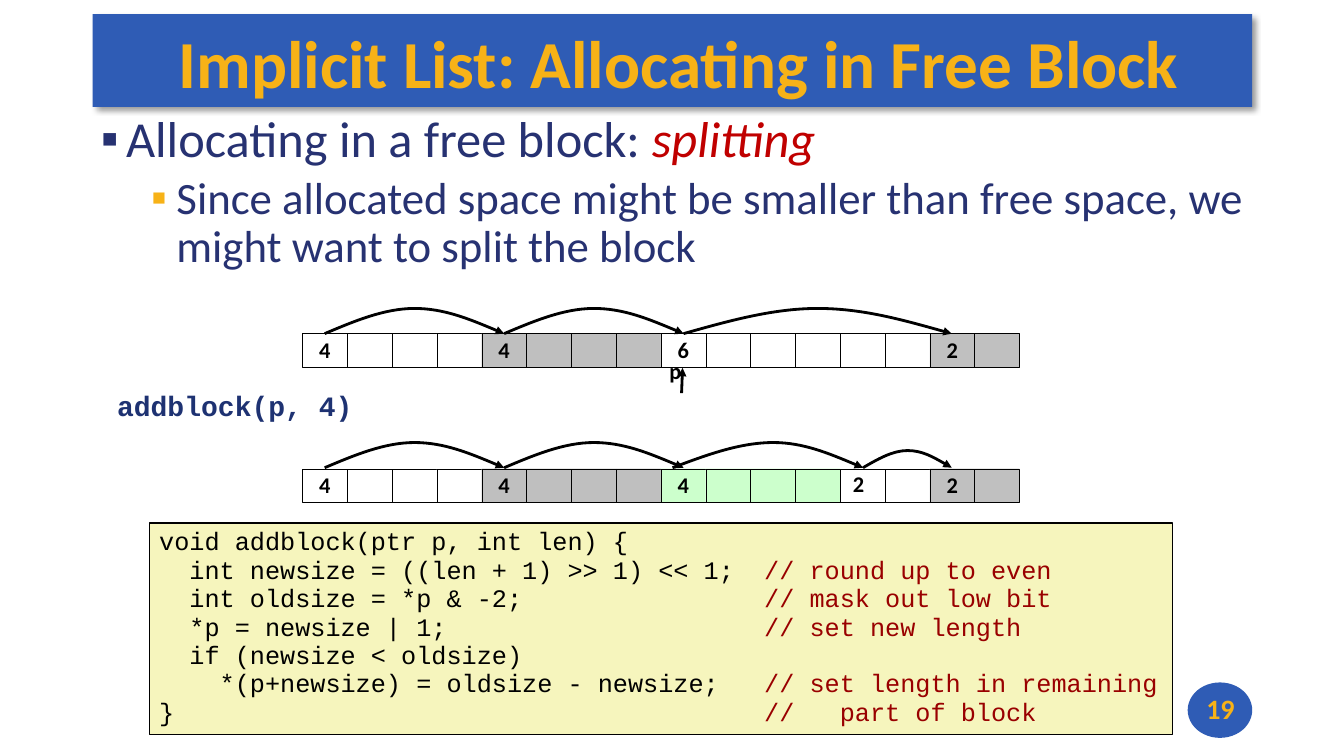
from lxml.etree import SubElement as Sub
from pptx import Presentation
from pptx.dml.color import RGBColor
from pptx.enum.shapes import MSO_CONNECTOR as Link, MSO_SHAPE as Shape
from pptx.enum.text import MSO_ANCHOR as Anchor, MSO_AUTO_SIZE as Fit, PP_ALIGN as Align
from pptx.oxml.ns import qn
from pptx.util import Inches, Pt

BLUE, GOLD, NAVY, RED = "2F5CB5", "F7B217", "273272", "C00000"
BLACK, WHITE, GREEN = "000000", "FFFFFF", "CCFFCC"
GREY, SILVER = "BFBFBF", "C0C0C0"
SANS, MONO = "Calibri", "Courier New"
LEFT, PITCH, HIGH = 3, 4 / 9, 0.33
PADS = (0.1, 0.05, 0.1, 0.05)

# Each block: size label, number of words, fill
BEFORE = [("4", 4, WHITE), ("4", 4, GREY), ("6", 6, WHITE), ("2", 2, SILVER)]
AFTER = [("4", 4, WHITE), ("4", 4, GREY), ("4", 4, GREEN), ("", 2, WHITE), ("2", 2, SILVER)]

CODE = [
    ("void addblock(ptr p, int len) {", ""),
    ("  int newsize = ((len + 1) >> 1) << 1;", "// round up to even"),
    ("  int oldsize = *p & -2;", "// mask out low bit"),
    ("  *p = newsize | 1;", "// set new length"),
    ("  if (newsize < oldsize)", ""),
    ("    *(p+newsize) = oldsize - newsize;", "// set length in remaining"),
    ("}", "//   part of block"),
]


def rgb(code):
    return RGBColor.from_string(code)


def add_run(para, text, size, color, face=SANS, bold=False, slant=False):
    run = para.add_run()
    run.text = text
    font = run.font
    font.name, font.size, font.bold, font.italic = face, Pt(size), bold, slant
    font.color.rgb = rgb(color)


def set_frame(item, pads=PADS, anchor=Anchor.TOP, wrap=False, fit=Fit.NONE):
    frame = item.text_frame
    frame.word_wrap, frame.auto_size, frame.vertical_anchor = wrap, fit, anchor
    (frame.margin_left, frame.margin_top,
     frame.margin_right, frame.margin_bottom) = map(Inches, pads)
    return frame


def add_box(slide, kind, box, fill, line=None):
    """Add a filled shape; line is its outline width in points."""
    item = slide.shapes.add_shape(kind, *map(Inches, box))
    item.shadow.inherit = False
    item.fill.solid()
    item.fill.fore_color.rgb = rgb(fill)
    if line:
        item.line.color.rgb = rgb(BLACK)
        item.line.width = Pt(line)
    else:
        item.line.fill.background()
    return item


def add_label(slide, box, text, size, color, face=SANS, align=Align.LEFT, gap=0.98,
              pads=PADS, anchor=Anchor.TOP, fit=Fit.SHAPE_TO_FIT_TEXT):
    item = slide.shapes.add_textbox(*map(Inches, box))
    para = set_frame(item, pads, anchor, fit=fit).paragraphs[0]
    para.alignment, para.line_spacing = align, gap
    add_run(para, text, size, color, face, bold=True)


def add_tip(item):
    """Give a line its black stroke and an arrowhead at the end."""
    item.line.color.rgb = rgb(BLACK)
    item.line.width = Pt(2)
    Sub(item.element.spPr.find(qn("a:ln")), qn("a:tailEnd"), type="triangle")


def add_arc(slide, start, end, base, rise=0.25, peak=None):
    """Draw an arch of two cubic curves that meet at the peak."""
    peak = peak or (start + end) / 2
    up, down = (peak - start) / 3, (end - peak) / 3
    top, mid = base - rise, base - rise / 2
    points = [(start, base), (start + up, mid), (peak - up, top), (peak, top),
              (peak + down, top), (end - down, mid), (end, base)]
    points = [(Inches(x), Inches(y)) for x, y in points]
    pen = slide.shapes.build_freeform(*points[0])
    pen.add_line_segments(points[1:], close=False)
    arc = pen.convert_to_shape()
    trace = next(arc.element.iter(qn("a:path")))
    legs = trace.findall(qn("a:lnTo"))
    for i in range(0, len(legs), 3):
        curve = Sub(trace, qn("a:cubicBezTo"))
        for leg in legs[i:i + 3]:
            curve.append(leg[0])
            trace.remove(leg)
    arc.shadow.inherit = False
    arc.fill.background()
    add_tip(arc)


def add_heap(slide, top, blocks):
    spot = 0
    for label, count, fill in blocks:
        for i in range(count):
            box = (LEFT + spot * PITCH, top, PITCH, HIGH)
            cell = add_box(slide, Shape.RECTANGLE, box, fill, 0.25)
            spot += 1
            if i == 0 and label:
                para = set_frame(cell, anchor=Anchor.MIDDLE).paragraphs[0]
                para.alignment, para.line_spacing = Align.CENTER, 0.98
                add_run(para, label, 16, BLACK, bold=True)


def place(holder, box):
    holder.left, holder.top, holder.width, holder.height = map(Inches, box)


def set_title(slide):
    title = slide.shapes.title
    place(title, (0.96, 0.19, 11.47, 0.85))
    para = set_frame(title, (0.08, 0.03, 0, 0.03), Anchor.MIDDLE, True).paragraphs[0]
    para.alignment = Align.CENTER
    add_run(para, "Implicit List: Allocating in Free Block", 48, GOLD, bold=True)

    bar = add_box(slide, Shape.RECTANGLE, (0.92, 0.14, 11.5, 0.92), BLUE)
    glow = bar.element.spPr.find(qn("a:effectLst"))
    shade = Sub(glow, qn("a:outerShdw"), blurRad=str(Pt(4)), dist=str(Pt(3)),
                dir="2700000", algn="tl", rotWithShape="0")
    tint = Sub(shade, qn("a:srgbClr"), val=BLACK)
    Sub(tint, qn("a:alpha"), val="40000")
    title.element.addprevious(bar.element)


def set_body(slide):
    body = slide.placeholders[1]
    place(body, (0.9, 1.08, 11.57, 5.87))
    frame = set_frame(body, wrap=True)
    items = [
        (0.25, 0, 36, NAVY, [("Allocating in a free block: ", NAVY, False),
                             ("splitting", RED, True)]),
        (0.75, 5, 32, GOLD, [("Since allocated space might be smaller than free space, "
                              "we might want to split the block", NAVY, False)]),
    ]
    for level, (indent, above, size, mark, runs) in enumerate(items):
        para = frame.add_paragraph() if level else frame.paragraphs[0]
        para.level = level
        props = para._p.get_or_add_pPr()
        props.set("marL", str(Inches(indent)))
        props.set("indent", str(Inches(-0.25)))
        Sub(Sub(props, qn("a:buClr")), qn("a:srgbClr"), val=mark)
        Sub(props, qn("a:buChar"), char="▪")
        para.line_spacing, para.space_before = 0.9, Pt(above)
        for text, color, slant in runs:
            add_run(para, text, size, color, slant=slant)


def add_code(slide):
    box = add_box(slide, Shape.RECTANGLE, (1.48, 5.19, 10.15, 2.1), "F6F5BD", 1)
    frame = set_frame(box, fit=Fit.SHAPE_TO_FIT_TEXT)
    for i, (code, note) in enumerate(CODE):
        para = frame.add_paragraph() if i else frame.paragraphs[0]
        para.alignment, para.line_spacing = Align.LEFT, 0.94
        add_run(para, f"{code:<40}" if note else code, 18, BLACK, MONO)
        if note:
            add_run(para, note, 18, "990000", MONO)


def add_pointer(slide):
    ends = map(Inches, (6.76, 3.9, 6.77, 3.65))
    arrow = slide.shapes.add_connector(Link.STRAIGHT, *ends)
    add_tip(arrow)
    Sub(arrow.element.spPr, qn("a:effectLst"))
    add_label(slide, (6.54, 3.51, 0.32, 0.37), "p", 16, BLACK)


def main():
    deck = Presentation()
    deck.slide_width, deck.slide_height = Inches(13.33), Inches(7.5)
    slide = deck.slides.add_slide(deck.slide_layouts[1])
    set_title(slide)
    set_body(slide)
    add_code(slide)

    add_heap(slide, 3.31, BEFORE)
    for start, end in [(3.22, 5), (5, 6.78), (6.78, 9.44)]:
        add_arc(slide, start, end, 3.31)
    add_pointer(slide)

    add_heap(slide, 4.65, AFTER)
    add_label(slide, (8.36, 4.63, 0.31, 0.37), "2", 16, BLACK)
    for start, end in [(3.22, 5), (5, 6.78)]:
        add_arc(slide, start, end, 4.64)
    add_arc(slide, 6.67, 8.56, 4.64, peak=7.67)
    add_arc(slide, 8.56, 9.44, 4.64, 0.17)

    add_label(slide, (1.1, 3.86, 2.46, 0.4), "addblock(p, 4)", 20, "1E3272",
              MONO, Align.CENTER, 0.85, pads=(0.05,) * 4)
    add_box(slide, Shape.OVAL, (11.78, 6.77, 0.64, 0.55), BLUE)
    add_label(slide, (11.78, 6.77, 0.65, 0.52), "19", 20, GOLD,
              align=Align.CENTER, gap=1, anchor=Anchor.MIDDLE, fit=Fit.NONE)
    deck.save("out.pptx")


if __name__ == "__main__":
    main()
